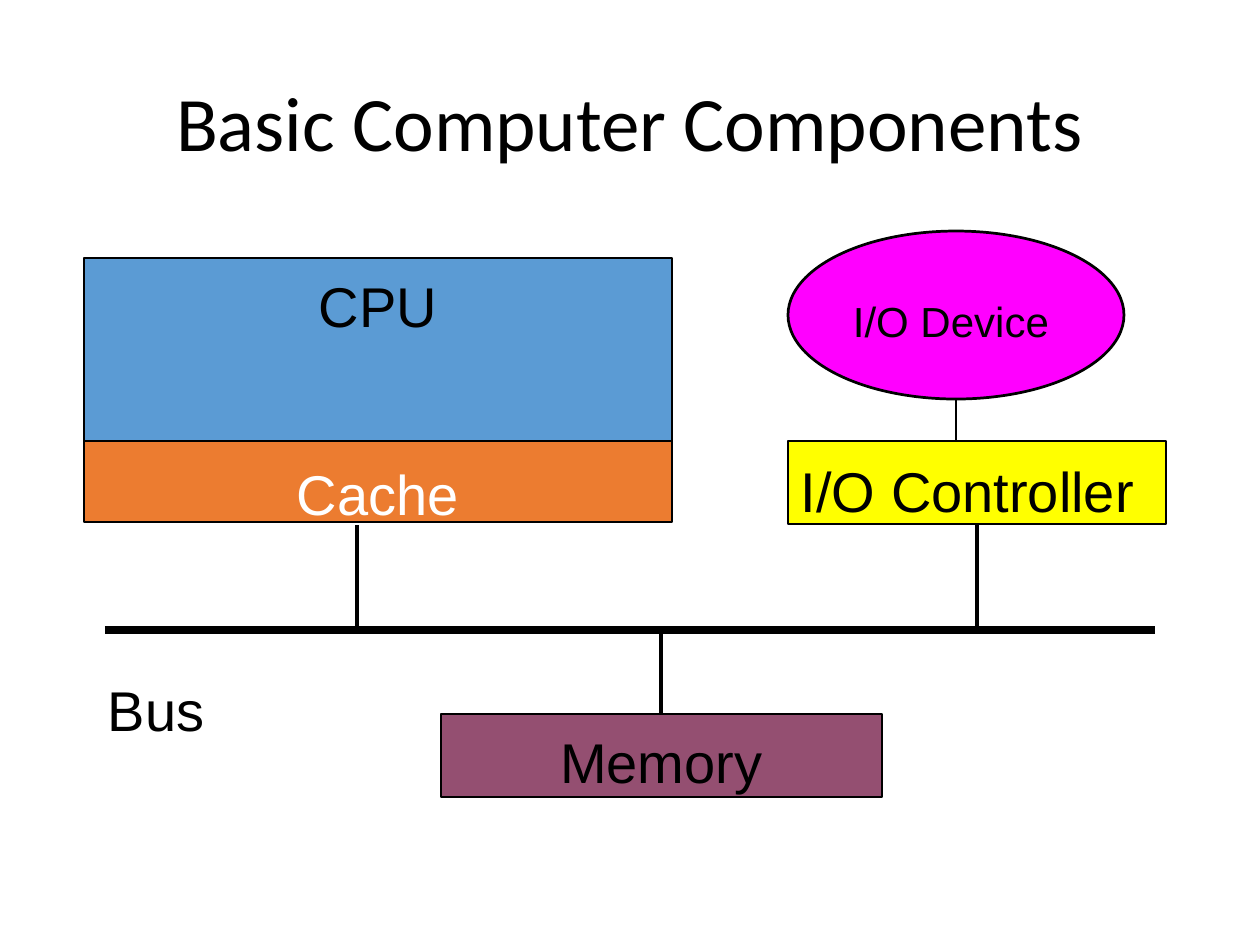
from lxml import etree
from pptx import Presentation
from pptx.dml.color import RGBColor
from pptx.enum.shapes import MSO_CONNECTOR, MSO_SHAPE
from pptx.enum.text import MSO_ANCHOR, PP_ALIGN
from pptx.oxml.ns import qn
from pptx.util import Inches, Pt

PIXEL = Inches(1) / 126
RECTANGLE, OVAL = MSO_SHAPE.RECTANGLE, MSO_SHAPE.OVAL
STRAIGHT = MSO_CONNECTOR.STRAIGHT
TOP = MSO_ANCHOR.TOP
LEFT, CENTER = PP_ALIGN.LEFT, PP_ALIGN.CENTER

BLACK = RGBColor(0x00, 0x00, 0x00)
WHITE = RGBColor(0xFF, 0xFF, 0xFF)
BLUE = RGBColor(0x5B, 0x9B, 0xD4)
ORANGE = RGBColor(0xEC, 0x7C, 0x30)
MAGENTA = RGBColor(0xFF, 0x00, 0xFF)
YELLOW = RGBColor(0xFF, 0xFF, 0x00)
PLUM = RGBColor(0x94, 0x4F, 0x71)

THIN, OUTLINE, STUB, TRUNK = 0.72, 1.56, 2.52, 4.56


def px(*lengths):
    return [round(length * PIXEL) for length in lengths]


def write_text(shape, text, size, color, alignment, font="Arial"):
    frame = shape.text_frame
    frame.word_wrap = True
    frame.vertical_anchor = TOP
    frame.margin_left = frame.margin_top = 0
    frame.margin_right = frame.margin_bottom = 0
    frame.text = text
    paragraph = frame.paragraphs[0]
    paragraph.alignment = alignment
    paragraph.font.name = font
    paragraph.font.size = Pt(size)
    paragraph.font.color.rgb = color


def add_label(slide, left, top, width, text, size=32, color=BLACK, alignment=CENTER):
    height = size * 2
    textbox = slide.shapes.add_textbox(*px(left, top, width, height))
    write_text(textbox, text, size, color, alignment)


def add_block(slide, kind, box, fill, line_width=OUTLINE):
    shape = slide.shapes.add_shape(kind, *px(*box))
    shape.shadow.inherit = False
    shape.fill.solid()
    shape.fill.fore_color.rgb = fill
    shape.line.color.rgb = BLACK
    shape.line.width = Pt(line_width)


def add_line(slide, start, end, width):
    connector = slide.shapes.add_connector(STRAIGHT, *px(*start, *end))
    connector.line.color.rgb = BLACK
    connector.line.width = Pt(width)
    etree.SubElement(connector.element.spPr, qn("a:effectLst"))


def add_title(slide, left, top, width, height):
    title = slide.shapes.title
    title.left, title.top, title.width, title.height = px(left, top, width, height)
    write_text(title, "Basic Computer Components", 44, BLACK, CENTER, "Calibri")


def add_processor(slide, left, top, width, height):
    cache_height = 81
    cache_top = top + height - cache_height
    add_block(slide, RECTANGLE, (left, top, width, height - cache_height), BLUE)
    add_block(slide, RECTANGLE, (left, cache_top, width, cache_height), ORANGE, THIN)
    add_label(slide, left, top + 14, width, "CPU")
    add_label(slide, left, cache_top + 19, width, "Cache", color=WHITE)


def add_input_output(slide, left, top, width, height):
    device_width, device_height, controller_height = 336, 168, 83
    controller_top = top + height - controller_height
    middle = left + device_width // 2
    add_block(slide, OVAL, (left, top, device_width, device_height), MAGENTA)
    add_block(slide, RECTANGLE, (left, controller_top, width, controller_height), YELLOW)
    add_line(slide, (middle, top + device_height), (middle, controller_top), THIN)
    add_label(slide, left + 65, top + 65, 240, "I/O Device", 24, alignment=LEFT)
    add_label(slide, left + 13, controller_top + 16, width - 13, "I/O Controller",
              alignment=LEFT)


def add_memory(slide, left, top, width, height):
    add_block(slide, RECTANGLE, (left, top, width, height), PLUM)
    add_label(slide, left, top + 14, width, "Memory")


def add_bus(slide, left, top, width, height):
    trunk = top + 105
    add_line(slide, (left, trunk), (left + width, trunk), TRUNK)
    for offset, end in ((252, top), (872, top), (556, top + height)):
        add_line(slide, (left + offset, trunk), (left + offset, end), STUB)
    add_label(slide, left + 3, trunk + 46, 140, "Bus", alignment=LEFT)


def main():
    presentation = Presentation()
    presentation.slide_width, presentation.slide_height = Inches(10), Inches(7.5)
    slide = presentation.slides.add_slide(presentation.slide_layouts[5])
    add_title(slide, 160, 75, 940, 94)
    add_processor(slide, 84, 258, 588, 264)
    add_input_output(slide, 788, 231, 378, 293)
    add_memory(slide, 441, 714, 441, 83)
    add_bus(slide, 105, 525, 1050, 189)
    presentation.save("out.pptx")


if __name__ == "__main__":
    main()
